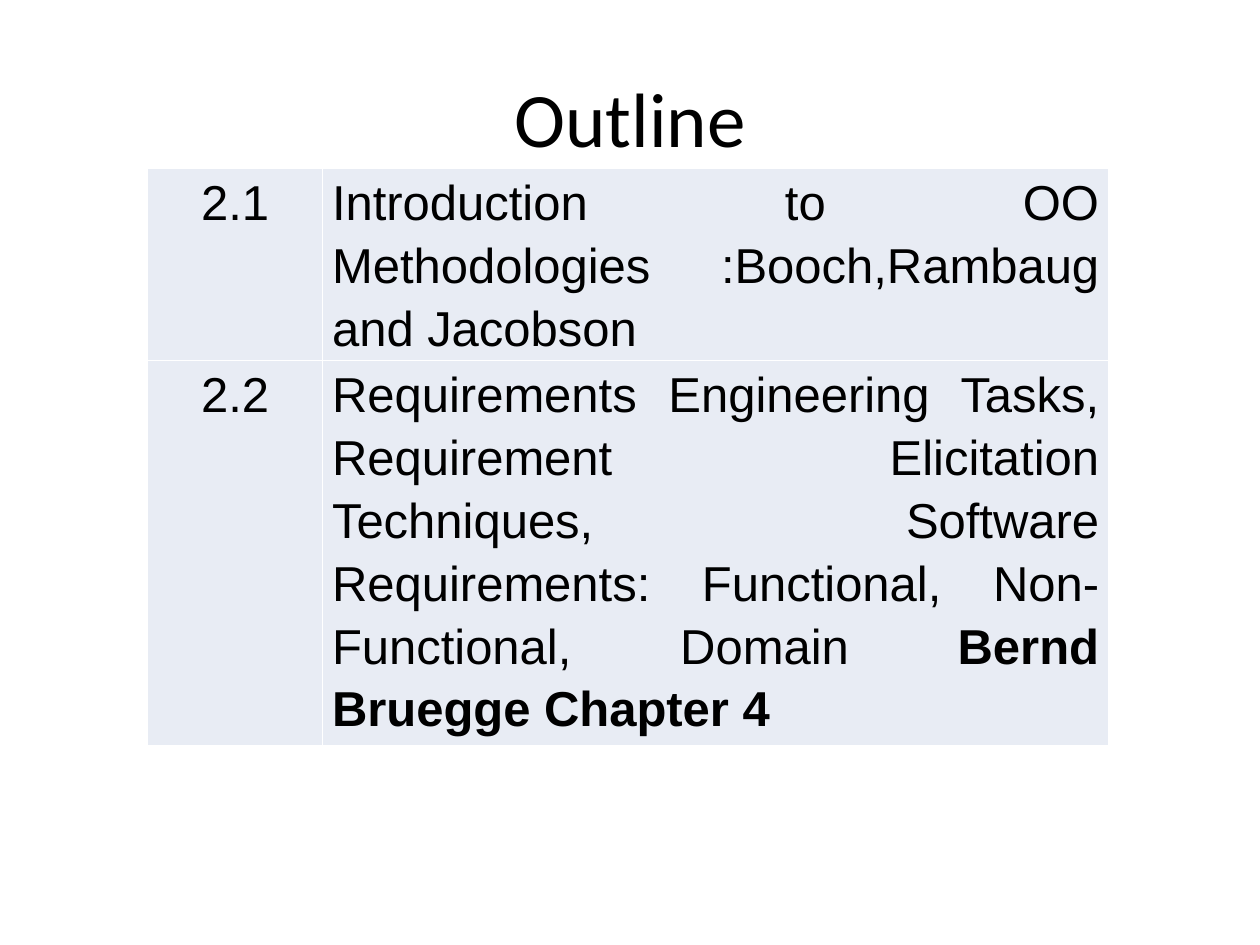
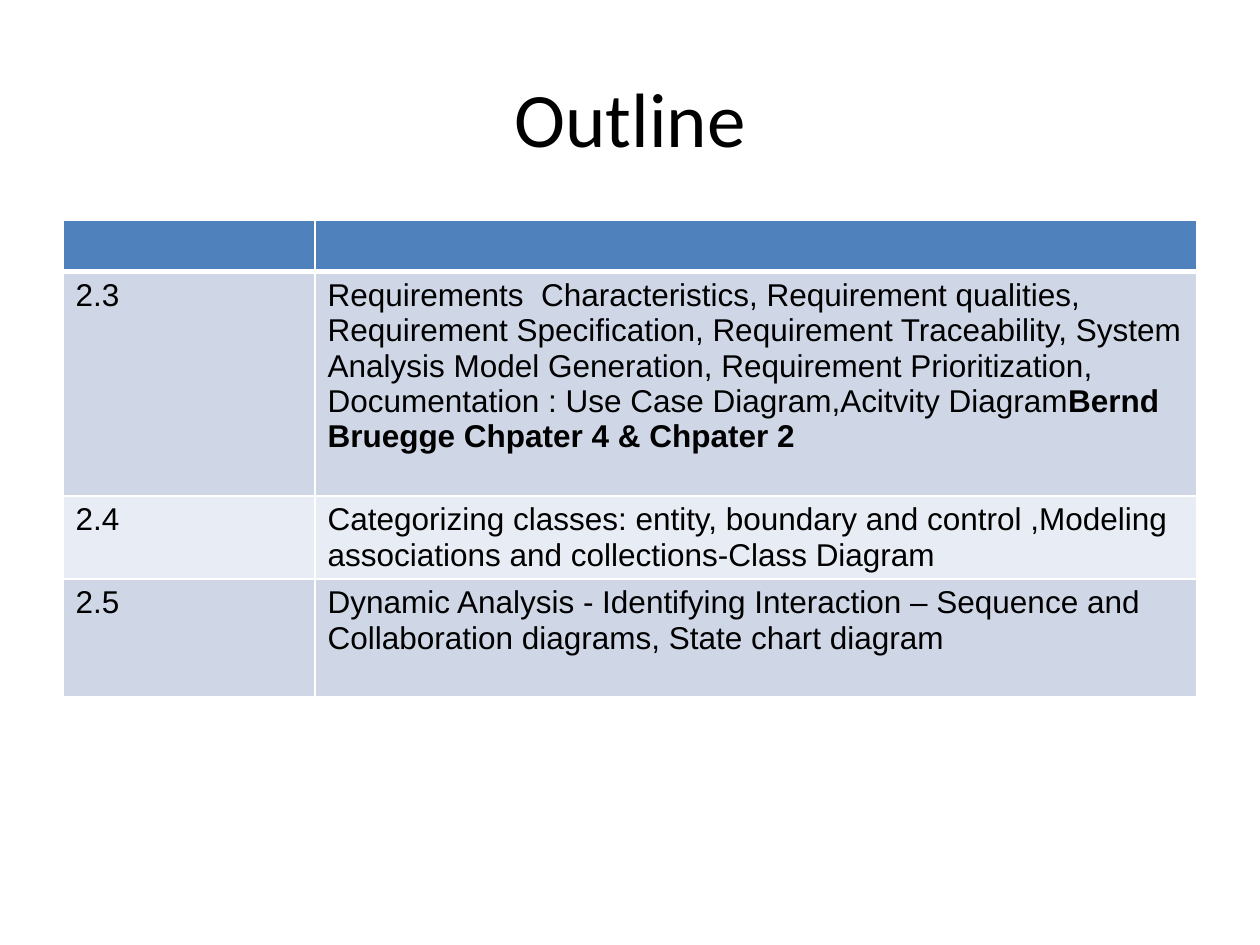
import pptx
import pptx.util
import pptx.dml.color
import pptx.enum.text
import lxml.etree
from dataclasses import dataclass

Pt = pptx.util.Pt
ALIGN = pptx.enum.text.PP_ALIGN
ANCHOR = pptx.enum.text.MSO_ANCHOR
NS = "http://schemas.openxmlformats.org/drawingml/2006/main"


@dataclass(frozen=True)
class Theme:
    ink: str = "000000"
    line: str = "FFFFFF"
    head: str = "4F81BD"
    band: str = "CFD7E7"
    pale: str = "E8ECF4"
    title: float = 44
    large: float = 28
    small: float = 18
    face: str = "Calibri"
    text: str = "Arial"
    rule: float = 1
    thick: float = 3


THEME = Theme()
TITLE_BOX = (36, 21.6, 648, 90)

# Each row: number, plain text, bold ending
FIRST = [
    ("2.1", "Introduction to OO Methodologies :Booch,Rambaug and Jacobson", ""),
    ("2.2", "Requirements Engineering Tasks, Requirement Elicitation Techniques, "
            "Software Requirements: Functional, Non-Functional, Domain ",
     "Bernd Bruegge Chapter 4"),
]
SECOND = [
    ("", "", ""),
    ("2.3", "Requirements  Characteristics, Requirement qualities, Requirement "
            "Specification, Requirement Traceability, System Analysis Model Generation, "
            "Requirement Prioritization, Documentation : Use Case Diagram,Acitvity Diagram",
     "Bernd Bruegge Chpater 4 & Chpater 2"),
    ("2.4", "Categorizing classes: entity, boundary and control ,Modeling "
            "associations and collections-Class Diagram", ""),
    ("2.5", "Dynamic Analysis - Identifying Interaction – Sequence and "
            "Collaboration diagrams, State chart diagram", ""),
]


def apply(thing, form):
    for name, value in form.items():
        setattr(thing, name, value)


def style(font, face, size, bold=False):
    apply(font, {"name": face, "size": Pt(size), "bold": bold})
    font.color.rgb = pptx.dml.color.RGBColor.from_string(THEME.ink)


def add_title(slide, box, text):
    title = slide.shapes.title
    apply(title, dict(zip(("left", "top", "width", "height"), map(Pt, box))))
    frame = title.text_frame
    frame.text = text
    apply(frame, {"vertical_anchor": ANCHOR.MIDDLE, "word_wrap": True})
    para = frame.paragraphs[0]
    para.alignment = ALIGN.CENTER
    style(para.runs[0].font, THEME.face, THEME.title)


def edge(cell, top, base):
    """Draw the four cell borders; top and base are line widths."""
    props = cell._tc.get_or_add_tcPr()
    widths = {"lnL": THEME.rule, "lnR": THEME.rule, "lnT": top, "lnB": base}
    for tag, width in widths.items():
        line = lxml.etree.SubElement(props, f"{{{NS}}}{tag}", w=str(Pt(width)))
        fill = lxml.etree.SubElement(line, f"{{{NS}}}solidFill")
        lxml.etree.SubElement(fill, f"{{{NS}}}srgbClr", val=THEME.line)


def fill_cell(cell, parts, size, pad, form):
    """Write (text, bold) parts into a cell."""
    side, end = map(Pt, pad)
    apply(cell, {"margin_left": side, "margin_right": side,
                 "margin_top": end, "margin_bottom": end,
                 "vertical_anchor": ANCHOR.TOP})
    para = cell.text_frame.paragraphs[0]
    apply(para, form)
    style(para.font, THEME.text, size)
    for text, bold in parts:
        if text:
            run = para.add_run()
            run.text = text
            style(run.font, THEME.text, size, bold)


def add_grid(slide, box, rows, split, highs, fills, size, pad, forms, head=False):
    """Fill the box with a two-column table; split is the first column's width."""
    left, top, width = box
    frame = slide.shapes.add_table(
        len(rows), 2, Pt(left), Pt(top), Pt(width), Pt(sum(highs)))
    table = frame.table
    apply(table, {"first_row": head, "horz_banding": False})
    for col, wide in zip(table.columns, (split, width - split)):
        col.width = Pt(wide)
    for i, (label, plain, strong) in enumerate(rows):
        table.rows[i].height = Pt(highs[i])
        above = THEME.thick if head and i == 1 else THEME.rule
        below = THEME.thick if head and i == 0 else THEME.rule
        texts = ([(label, False)], [(plain, False), (strong, True)])
        for j, parts in enumerate(texts):
            cell = table.cell(i, j)
            edge(cell, above, below)
            cell.fill.solid()
            cell.fill.fore_color.rgb = pptx.dml.color.RGBColor.from_string(fills[i])
            fill_cell(cell, parts, size, pad, forms[j])


def add_page(deck):
    slide = deck.slides.add_slide(deck.slide_layouts[5])
    add_title(slide, TITLE_BOX, "Outline")
    return slide


def main():
    deck = pptx.Presentation()
    apply(deck, {"slide_width": Pt(720), "slide_height": Pt(540)})

    add_grid(add_page(deck), (84.4, 96, 549), FIRST, split=100,
             highs=(110, 220), fills=[THEME.pale] * 2,
             size=THEME.large, pad=(5.4, 0),
             forms=[{"alignment": how, "line_spacing": 1.15}
                    for how in (ALIGN.CENTER, ALIGN.JUSTIFY)])

    add_grid(add_page(deck), (36, 126, 648), SECOND, split=144,
             highs=(29.2, 128.2, 47.5, 67.5),
             fills=(THEME.head, THEME.band, THEME.pale, THEME.band),
             size=THEME.small, pad=(7.2, 3.6),
             forms=[{"alignment": ALIGN.LEFT}] * 2, head=True)

    deck.save("out.pptx")


if __name__ == "__main__":
    main()
